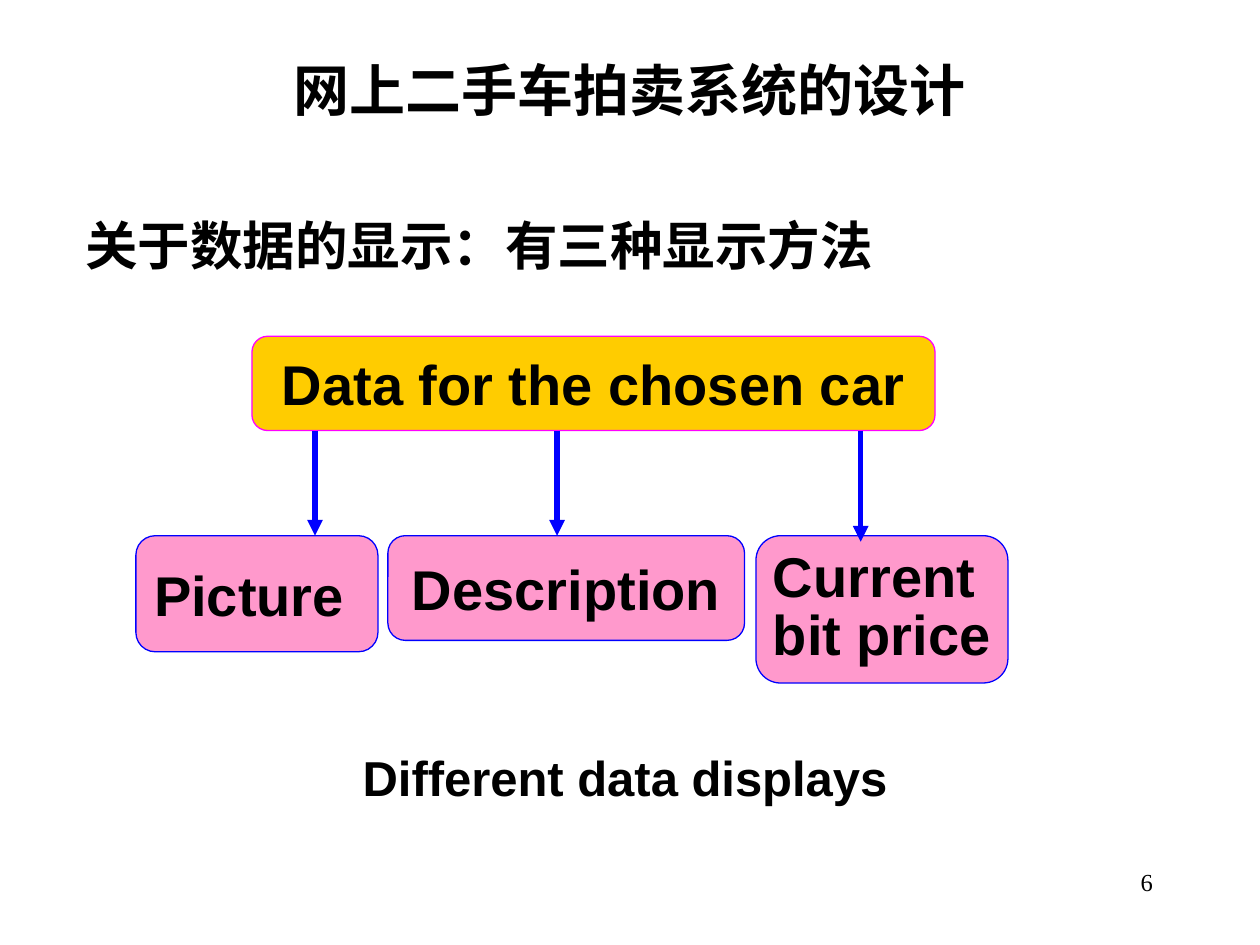
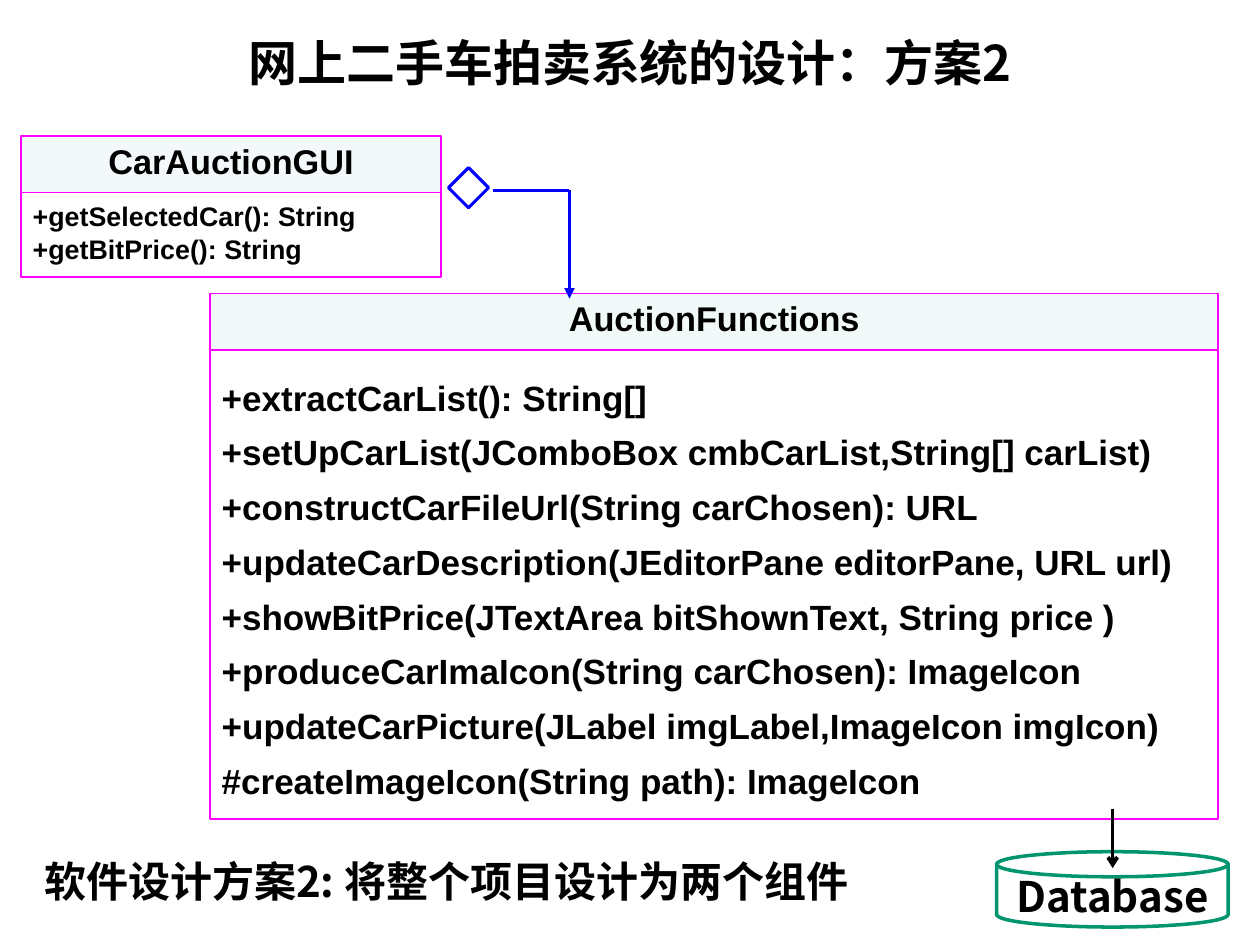
import pptx
import pptx.dml.color
import pptx.enum.shapes
import pptx.enum.text
import pptx.oxml.ns
import pptx.util
from lxml import etree

Cm = pptx.util.Cm
SHAPE = pptx.enum.shapes.MSO_SHAPE
ALIGN = pptx.enum.text.PP_ALIGN
ANCHOR = pptx.enum.text.MSO_ANCHOR

BLACK, WHITE, BLUE, MAGENTA = "000000", "FFFFFF", "0000FF", "FF00FF"
GOLD, PINK, PALE_TEAL, GREEN = "FFCC00", "FF99CC", "BBE0E3", "00956F"
LATIN, CJK, SERIF = "Arial", "Noto Sans CJK SC", "Times New Roman"


def rgb(value):
    return pptx.dml.color.RGBColor.from_string(value)


def add_xml(parent, tag, **attrs):
    return etree.SubElement(parent, pptx.oxml.ns.qn(tag), **attrs)


def write(sp, text, size, font=LATIN, bold=True, align=ALIGN.CENTER,
          anchor=ANCHOR.MIDDLE, wrap=True, inset=(0.25, 0.13),
          spacing=None, before=0):
    """Fill a shape or text box; lines of the text become paragraphs."""
    tf = sp.text_frame
    tf.text = text
    tf.word_wrap = wrap
    tf.vertical_anchor = anchor
    tf.margin_left = tf.margin_right = Cm(inset[0])
    tf.margin_top = tf.margin_bottom = Cm(inset[1])
    for i, p in enumerate(tf.paragraphs):
        p.alignment = align
        if spacing:
            p.line_spacing = spacing
        if i and before:
            p.space_before = pptx.util.Pt(before)
        for r in p.runs:
            r.font.size = pptx.util.Pt(size)
            r.font.bold = bold
            r.font.name = font
            r.font.color.rgb = rgb(BLACK)
            add_xml(r.font._element, "a:ea", typeface=font)


def add_text(s, at, text, size, **style):
    write(s.shapes.add_textbox(*map(Cm, at)), text, size, **style)


def add_title(s, at, text, size):
    add_text(s, at, text, size, font=CJK)


def add_box(s, kind, at, line, width, fill=None, opacity=None):
    """Add a preset shape; opacity is a percentage."""
    sp = s.shapes.add_shape(kind, *map(Cm, at))
    sp.shadow.inherit = False
    sp.line.color.rgb = rgb(line)
    sp.line.width = pptx.util.Pt(width)
    if fill is None:
        sp.fill.background()
    else:
        sp.fill.solid()
        sp.fill.fore_color.rgb = rgb(fill)
    if opacity:
        color = sp._element.spPr.find(".//" + pptx.oxml.ns.qn("a:srgbClr"))
        add_xml(color, "a:alpha", val=str(opacity * 1000))
    return sp


def add_line(s, start, end, color, width, head=None):
    """Draw a straight line, with an arrowhead of type head at its end."""
    line = s.shapes.add_connector(pptx.enum.shapes.MSO_CONNECTOR.STRAIGHT,
                                  *map(Cm, (*start, *end)))
    line.line.color.rgb = rgb(color)
    line.line.width = pptx.util.Pt(width)
    if head:
        add_xml(line.line._get_or_add_ln(), "a:tailEnd", type=head)
    add_xml(line._element.spPr, "a:effectLst")


def add_data_box(s, at, text, fill, line, spacing=None):
    sp = add_box(s, SHAPE.ROUNDED_RECTANGLE, at, line, 0.75, fill)
    write(sp, text, 32, wrap=False, spacing=spacing)


def add_class(s, left, top, width, body_height, name, methods, opacity,
              size, spacing, before, inset):
    """Draw a UML class: a tinted name band above its list of methods."""
    band = 1.14
    header = add_box(s, SHAPE.RECTANGLE, (left, top, width, band),
                     MAGENTA, 1, PALE_TEAL, opacity)
    write(header, name, 19.6, spacing=0.8, inset=(0.23, 0.1))
    body = add_box(s, SHAPE.RECTANGLE, (left, top + band, width, body_height),
                   MAGENTA, 1)
    write(body, "\n".join(methods), size, align=ALIGN.JUSTIFY,
          spacing=spacing, before=before, inset=inset)


def build_displays(s):
    add_title(s, (1.9, 0.84, 21.6, 1.9), "网上二手车拍卖系统的设计", 32)
    add_text(s, (1.47, 4.17, 17.35, 1.52), "关于数据的显示：有三种显示方法", 30,
             font=CJK, align=ALIGN.LEFT)

    source_top, source_height, display_top = 6.78, 1.9, 10.8
    add_data_box(s, (5.08, source_top, 13.77, source_height),
                 "Data for the chosen car", GOLD, MAGENTA)
    displays = [  # text, left, width, height, line spacing, arrow x, overlap
        ("Picture ", 2.74, 4.88, 2.34, None, 6.35, 0),
        ("Description", 7.82, 7.19, 2.11, None, 11.23, 0),
        ("Current \nbit price", 15.24, 5.08, 2.97, 0.85, 17.35, 0.12),
    ]
    for text, left, width, height, spacing, x, overlap in displays:
        add_data_box(s, (left, display_top, width, height), text, PINK, BLUE,
                     spacing)
        add_line(s, (x, source_top + source_height),
                 (x, display_top + overlap), BLUE, 3, "triangle")

    add_text(s, (4.88, 14.94, 15.44, 1.45), "Different data displays", 28)
    add_text(s, (18.21, 17.35, 5.28, 1.27), "6", 14, font=SERIF, bold=False,
             align=ALIGN.RIGHT, anchor=ANCHOR.TOP)


def build_components(s):
    add_title(s, (1.9, 0.2, 21.6, 2.11), "网上二手车拍卖系统的设计：方案2", 28)
    add_class(s, 0.43, 2.74, 8.46, 1.7, "CarAuctionGUI", [
        "+getSelectedCar(): String",
        "+getBitPrice(): String",
    ], opacity=17, size=15.3, spacing=0.9, before=2.2, inset=(0.23, 0.1))
    add_class(s, 4.24, 5.92, 20.32, 9.45, "AuctionFunctions", [
        "+extractCarList(): String[] ",
        "+setUpCarList(JComboBox cmbCarList,String[] carList)",
        "+constructCarFileUrl(String carChosen): URL",
        "+updateCarDescription(JEditorPane editorPane, URL url)",
        "+showBitPrice(JTextArea bitShownText, String price )",
        "+produceCarImaIcon(String carChosen): ImageIcon",
        "+updateCarPicture(JLabel imgLabel,ImageIcon imgIcon)",
        "#createImageIcon(String path): ImageIcon",
    ], opacity=18, size=20, spacing=1.2, before=2.5, inset=(0.23, 0.2))

    add_box(s, SHAPE.DIAMOND, (9.04, 3.38, 0.81, 0.81), BLUE, 1.75)
    corner = (11.48, 3.84)
    add_line(s, (9.93, 3.84), corner, BLUE, 2)
    add_line(s, corner, (11.48, 6.02), BLUE, 2, "triangle")

    add_text(s, (0.64, 17.12, 17.15, 1.27),
             "软件设计方案2: 将整个项目设计为两个组件", 24, font=CJK,
             align=ALIGN.LEFT, anchor=ANCHOR.TOP)
    database = add_box(s, SHAPE.FLOWCHART_MAGNETIC_DISK,
                       (20.09, 17.17, 4.67, 1.52), GREEN, 2, WHITE)
    write(database, "Database", 24, font=CJK)
    add_line(s, (22.43, 16.31), (22.43, 17.5), BLACK, 2, "arrow")


def main():
    prs = pptx.Presentation()
    prs.slide_width, prs.slide_height = Cm(25.4), Cm(19.05)
    for build in (build_displays, build_components):
        build(prs.slides.add_slide(prs.slide_layouts[6]))
    prs.save("out.pptx")


if __name__ == "__main__":
    main()
